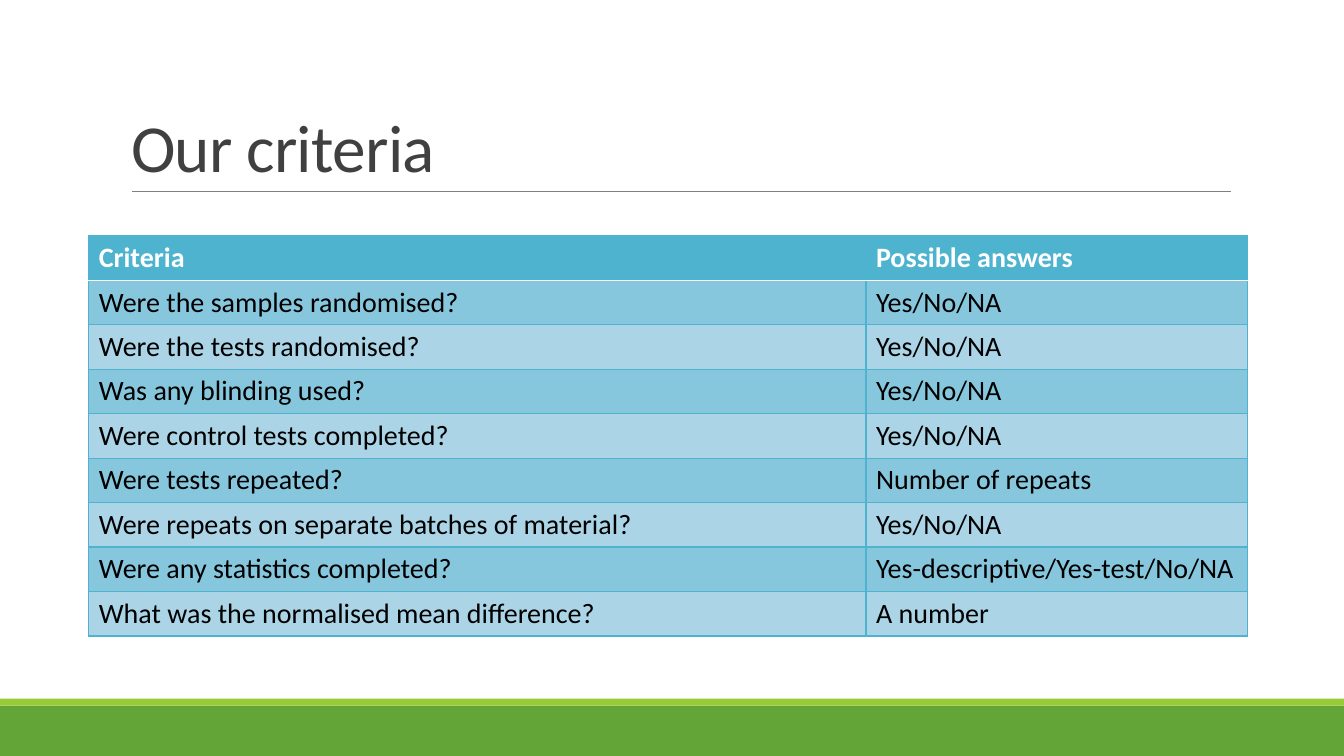
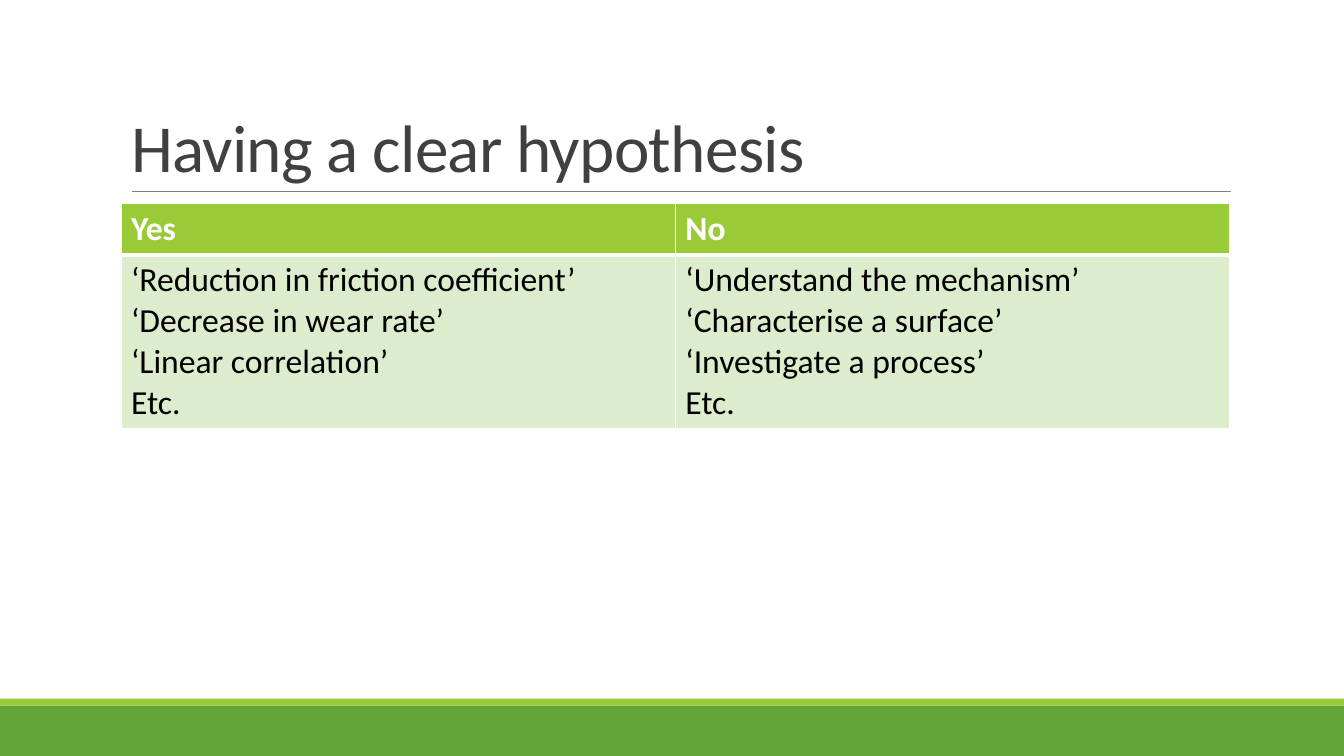
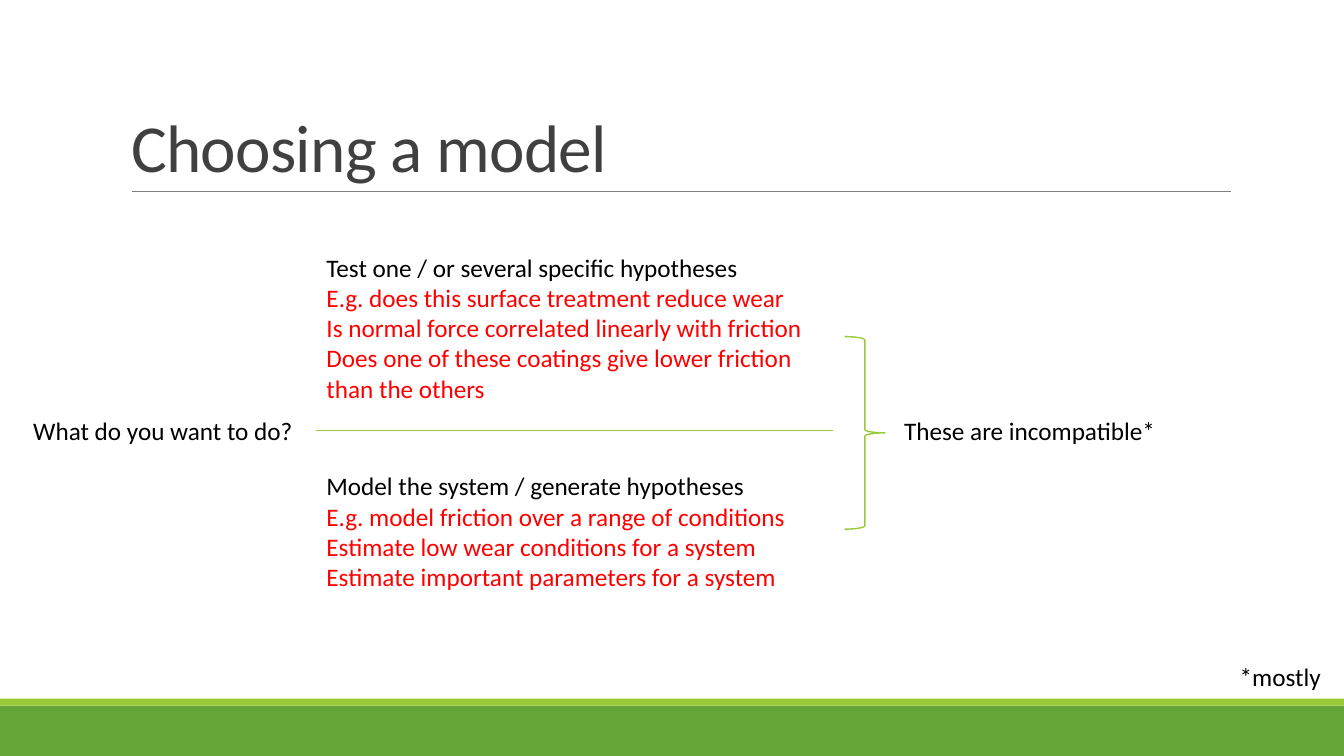
from lxml import etree
from pptx import Presentation
from pptx import util as u
from pptx.dml.color import RGBColor
from pptx.enum import shapes, text
from pptx.oxml import parse_xml
from pptx.oxml.ns import qn, nsdecls

deck = Presentation()
deck.slide_width, deck.slide_height = u.Inches(13.33), u.Inches(7.5)
col, row = deck.slide_width / 100, deck.slide_height / 100
LIME, GREEN, TEAL, WHITE, BLACK, RED = "99CB38", "63A537", "4EB3CF", "FFFFFF", "000000", "FF0000"


def color(hex_value):
    return RGBColor.from_string(hex_value)


def write(frame, lines, size=18, colors=(BLACK,), bold=False, spacing=None, tracking=0):
    for i, line in enumerate(lines):
        paragraph = frame.paragraphs[0] if i == 0 else frame.add_paragraph()
        paragraph.alignment = text.PP_ALIGN.LEFT
        if spacing:
            paragraph.line_spacing = spacing
        run = paragraph.add_run()
        run.text = line
        run.font.name, run.font.size, run.font.bold = "Calibri", u.Pt(size), bold
        run.font.color.rgb = color(colors[min(i, len(colors) - 1)])
        if tracking:
            run._r.get_or_add_rPr().set("spc", str(tracking))


slides = []
rules = []
for heading in ["Our criteria", "Having a clear hypothesis", "Choosing a model"]:
    slide = deck.slides.add_slide(deck.slide_layouts[5])
    slides.append(slide)
    rules.append((slide, 9.83, 91.58, 25.33, "808080", 0.5))
    for top, height, fill in [(93.33, 6.67, GREEN), (92.4, 0.93, LIME)]:
        band = slide.shapes.add_shape(shapes.MSO_SHAPE.RECTANGLE, 0, int(top * row),
                                      deck.slide_width, int(height * row))
        band.shadow.inherit = False
        band.fill.solid()
        band.fill.fore_color.rgb = color(fill)
        band.line.fill.background()
    title = slide.shapes.title
    title.left, title.top = int(9 * col), int(4.13 * row)
    title.width, title.height = int(82.5 * col), int(21.2 * row)
    title.text_frame.auto_size = text.MSO_AUTO_SIZE.NONE
    title.text_frame.vertical_anchor = text.MSO_ANCHOR.BOTTOM
    write(title.text_frame, [heading], size=48, colors=["404040"], spacing=0.85, tracking=-50)

criteria_slide, hypothesis_slide, model_slide = slides
rules.append((model_slide, 23.55, 61.95, 56.93, LIME, 1))
for slide, start, end, level, ink, weight in rules:
    rule = slide.shapes.add_connector(shapes.MSO_CONNECTOR.STRAIGHT, int(start * col),
                                      int(level * row), int(end * col), int(level * row))
    rule.line.color.rgb = color(ink)
    rule.line.width = u.Pt(weight)
    etree.SubElement(rule._element.spPr, qn("a:effectLst"))

criteria = [
    ("Criteria", "Possible answers"),
    ("Were the samples randomised?", "Yes/No/NA"),
    ("Were the tests randomised?", "Yes/No/NA"),
    ("Was any blinding used?", "Yes/No/NA"),
    ("Were control tests completed?", "Yes/No/NA"),
    ("Were tests repeated?", "Number of repeats"),
    ("Were repeats on separate batches of material?", "Yes/No/NA"),
    ("Were any statistics completed?", "Yes-descriptive/Yes-test/No/NA"),
    ("What was the normalised mean difference?", "A number"),
]
hypotheses = [
    ("Yes", "No"),
    ("‘Reduction in friction coefficient’\n‘Decrease in wear rate’\n‘Linear correlation’\nEtc.",
     "‘Understand the mechanism’\n‘Characterise a surface’\n‘Investigate a process’\nEtc."),
]
tables = [
    (criteria_slide, criteria, 6.6, 31.2, (57.83, 28.42), (5.88, 5.88), 20,
     TEAL, ("86C7DD", "ABD5E7"), TEAL, 1.25),
    (hypothesis_slide, hypotheses, 9, 26.93, (41.25, 41.25), (6.6, 23), 24,
     LIME, ("DEECCE",), WHITE, 3),
]
for slide, rows, left, top, widths, heights, size, head_fill, stripes, grid_ink, head_weight in tables:
    total = heights[0] + heights[1] * (len(rows) - 1)
    table = slide.shapes.add_table(len(rows), len(widths), int(left * col), int(top * row),
                                   int(sum(widths) * col), int(total * row)).table
    for column, width in zip(table.columns, widths):
        column.width = int(width * col)
    for r, entries in enumerate(rows):
        is_head = r == 0
        table.rows[r].height = int(heights[min(r, 1)] * row)
        for c, entry in enumerate(entries):
            cell = table.cell(r, c)
            write(cell.text_frame, entry.split("\n"), size=size, bold=is_head,
                  colors=[WHITE if is_head else BLACK])
            cell.fill.solid()
            cell.fill.fore_color.rgb = color(head_fill if is_head else stripes[(r - 1) % len(stripes)])
            for i, side in enumerate("LRTB"):
                under_head = (r, side) in [(0, "B"), (1, "T")]
                ink, weight = (WHITE, head_weight) if under_head else (grid_ink, 1)
                cell._tc.get_or_add_tcPr().insert(i, parse_xml(
                    f'<a:ln{side} {nsdecls("a")} w="{u.Pt(weight)}"><a:solidFill>'
                    f'<a:srgbClr val="{ink}"/></a:solidFill></a:ln{side}>'))

notes = [
    (1.73, 54.27, 24.68, 5.33, True, ["What do you want to do?"]),
    (23.55, 32.67, 37.73, 21.6, True, [
        "Test one / or several specific hypotheses",
        "E.g. does this surface treatment reduce wear",
        "Is normal force correlated linearly with friction",
        "Does one of these coatings give lower friction than the others"]),
    (23.55, 61.6, 36.08, 17.47, False, [
        "Model the system / generate hypotheses",
        "E.g. model friction over a range of conditions",
        "Estimate low wear conditions for a system",
        "Estimate important parameters for a system"]),
    (66.53, 54.27, 20.4, 5.33, False, ["These are incompatible*"]),
    (91.5, 86.8, 7.58, 5.33, False, ["*mostly"]),
]
for left, top, width, height, wraps, lines in notes:
    note = model_slide.shapes.add_textbox(int(left * col), int(top * row),
                                          int(width * col), int(height * row)).text_frame
    note.word_wrap = wraps
    note.auto_size = text.MSO_AUTO_SIZE.SHAPE_TO_FIT_TEXT
    write(note, lines, colors=(BLACK, RED))

brace = model_slide.shapes.add_shape(shapes.MSO_SHAPE.RIGHT_BRACE, int(62.85 * col),
                                     int(44.53 * row), int(3 * col), int(25.47 * row))
brace.shadow.inherit = False
brace.fill.background()
brace.line.color.rgb = color(LIME)
brace.line.width = u.Pt(1)

deck.save("out.pptx")
